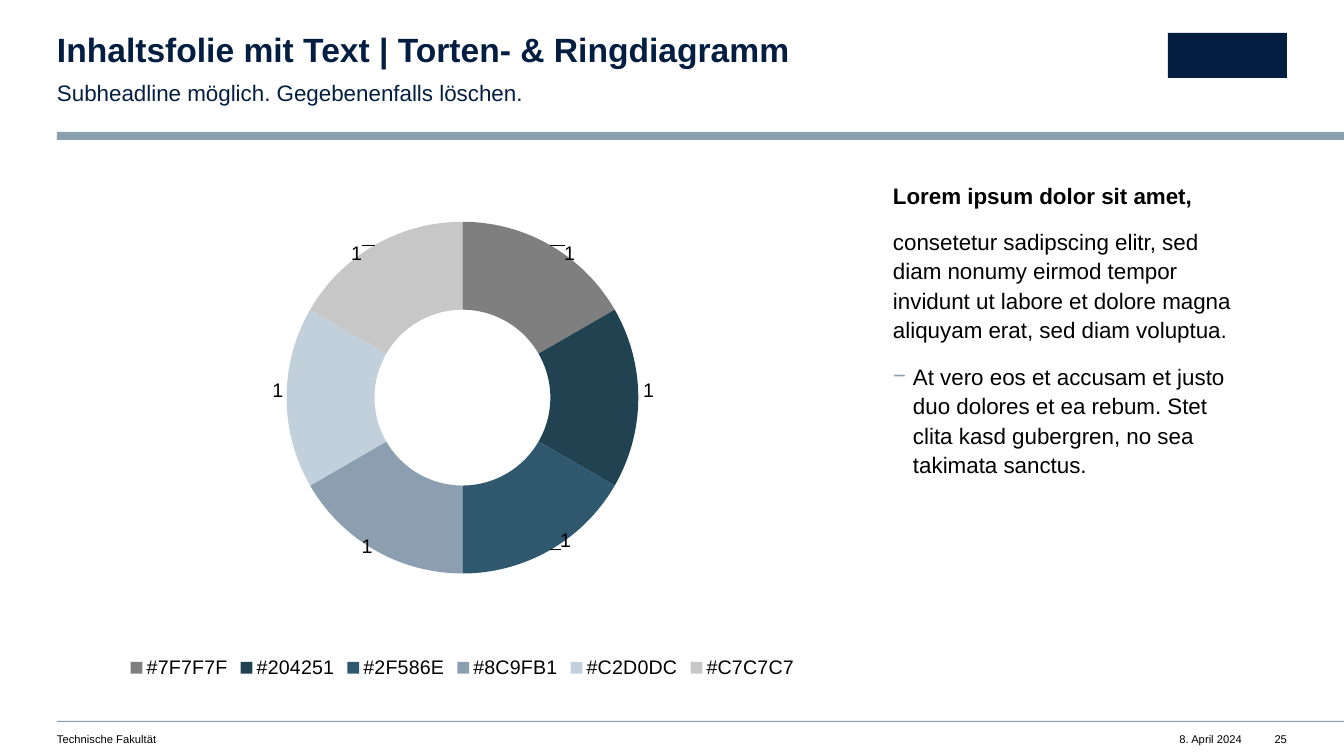
import pptx
import pptx.chart.data
import pptx.dml.color
import pptx.enum.chart
import pptx.enum.shapes
import pptx.enum.text
import pptx.oxml
import pptx.oxml.ns
import pptx.util

PX = 9071  # EMU per pixel at 100.8 pixels to the inch
FONT = "Arial"
NAVY, STEEL, BLACK = "041E42", "8C9FB1", "000000"
LEFT = pptx.enum.text.PP_ALIGN.LEFT
RIGHT = pptx.enum.text.PP_ALIGN.RIGHT


def style_font(font, size, color, bold=False):
    font.name = FONT
    font.size = pptx.util.Pt(size)
    font.bold = bold
    font.color.rgb = pptx.dml.color.RGBColor.from_string(color)


def write_text(shape, box, texts, size, color, bold=False, align=LEFT,
               spacing=1.0, after=0, right_inset=0):
    """Place the shape and write one unbulleted paragraph per text."""
    shape.left, shape.top, shape.width, shape.height = [n * PX for n in box]
    frame = shape.text_frame
    frame.word_wrap = True
    frame.auto_size = pptx.enum.text.MSO_AUTO_SIZE.NONE
    frame.vertical_anchor = pptx.enum.text.MSO_ANCHOR.TOP
    frame.margin_left = frame.margin_top = frame.margin_bottom = 0
    frame.margin_right = right_inset * PX
    frame.text = "\n".join(texts)
    for paragraph in frame.paragraphs:
        paragraph.alignment = align
        paragraph.line_spacing = spacing
        paragraph.space_before = pptx.util.Pt(0)
        paragraph.space_after = pptx.util.Pt(after)
        properties = paragraph._p.get_or_add_pPr()
        properties.set("marL", "0")
        properties.set("indent", "0")
        properties.append(pptx.oxml.parse_xml(
            f'<a:buNone {pptx.oxml.ns.nsdecls("a")}/>'))
        style_font(paragraph.font, size, color, bold)


presentation = pptx.Presentation()
presentation.slide_width = 1344 * PX
presentation.slide_height = 756 * PX
slide = presentation.slides.add_slide(presentation.slide_layouts[3])
title, subheadline, body = slide.placeholders

# Header bar, footer rule and a plain block for the logo
for box, color in [
    ((57, 132, 1287, 8), STEEL),
    ((57, 721, 1287, 1), STEEL),
    ((1168, 33, 119, 45), NAVY),
]:
    bar = slide.shapes.add_shape(
        pptx.enum.shapes.MSO_SHAPE.RECTANGLE, *[n * PX for n in box])
    bar.fill.solid()
    bar.fill.fore_color.rgb = pptx.dml.color.RGBColor.from_string(color)
    bar.line.fill.background()
    bar.shadow.inherit = False

# Headline and text column
write_text(title, (57, 33, 755, 36),
           ["Inhaltsfolie mit Text | Torten- & Ringdiagramm"],
           24, NAVY, bold=True, spacing=0.9)
write_text(subheadline, (57, 76, 755, 27),
           ["Subheadline möglich. Gegebenenfalls löschen."],
           16, NAVY, spacing=1.1, after=12, right_inset=39)
write_text(body, (893, 179, 394, 504), [
    "Lorem ipsum dolor sit amet,",
    "consetetur sadipscing elitr, sed diam nonumy eirmod tempor invidunt ut "
    "labore et dolore magna aliquyam erat, sed diam voluptua.",
    "At vero eos et accusam et justo duo dolores et ea rebum. Stet clita kasd "
    "gubergren, no sea takimata sanctus.",
], 16, BLACK, spacing=1.1, after=12, right_inset=39)
lead, _, bullet = body.text_frame.paragraphs
lead.font.bold = True
bullet.level = 1
bullet_properties = bullet._p.get_or_add_pPr()
bullet_properties.set("marL", str(20 * PX))
bullet_properties.set("indent", str(-20 * PX))
no_bullet = bullet_properties.find(pptx.oxml.ns.qn("a:buNone"))
no_bullet.addprevious(pptx.oxml.parse_xml(
    f'<a:buClr {pptx.oxml.ns.nsdecls("a")}><a:srgbClr val="{STEEL}"/></a:buClr>'))
bullet_properties.replace(no_bullet, pptx.oxml.parse_xml(
    f'<a:buChar {pptx.oxml.ns.nsdecls("a")} char="−"/>'))

# Footer
for text, box, align in [
    ("Technische Fakultät", (57, 732, 603, 13), LEFT),
    ("8. April 2024", (1148, 732, 94, 13), RIGHT),
    ("25", (1266, 732, 21, 13), RIGHT),
]:
    write_text(slide.shapes.add_textbox(0, 0, 0, 0), box, [text], 8, BLACK,
               align=align)

# Ring chart: each colour with its label's offset from the ring segment, in px
CHART_WIDTH, CHART_HEIGHT = 811, 504
segments = [
    ("7F7F7F", 41, -30),
    ("204251", 54, -7),
    ("2F586E", 37, 29),
    ("8C9FB1", -29, 35),
    ("C2D0DC", -53, -7),
    ("C7C7C7", -40, -30),
]
ring_data = pptx.chart.data.CategoryChartData()
ring_data.categories = [f"#{color}" for color, _, _ in segments]
ring_data.add_series("Series 1", [1] * len(segments))
chart = slide.shapes.add_chart(
    pptx.enum.chart.XL_CHART_TYPE.DOUGHNUT, 57 * PX, 179 * PX,
    CHART_WIDTH * PX, CHART_HEIGHT * PX, ring_data).chart
style_font(chart.font, 10, BLACK)
chart.has_title = False
chart.has_legend = True
chart.legend.position = pptx.enum.chart.XL_LEGEND_POSITION.BOTTOM
chart.legend.include_in_layout = False
style_font(chart.legend.font, 14, BLACK)
chart.plots[0].vary_by_categories = True

ring = chart.plots[0].series[0]
ring.data_labels.show_value = True
style_font(ring.data_labels.font, 14, BLACK)
for index, (color, _, _) in enumerate(segments):
    point = ring.points[index]
    point.format.fill.solid()
    point.format.fill.fore_color.rgb = pptx.dml.color.RGBColor.from_string(color)
    point.format.line.fill.background()
    style_font(point.data_label.font, 14, BLACK)

chart_ns = pptx.oxml.ns.nsdecls("c")
for label, (_, dx, dy) in zip(chart.element.xpath(".//c:ser//c:dLbl"), segments):
    label.insert(1, pptx.oxml.parse_xml(
        f'<c:layout {chart_ns}><c:manualLayout>'
        f'<c:x val="{dx / CHART_WIDTH:.3f}"/><c:y val="{dy / CHART_HEIGHT:.3f}"/>'
        '</c:manualLayout></c:layout>'))

plot_area = chart.element.xpath(".//c:plotArea")[0]
for automatic_layout in plot_area.xpath("./c:layout"):
    plot_area.remove(automatic_layout)
plot_area.insert(0, pptx.oxml.parse_xml(
    f'<c:layout {chart_ns}><c:manualLayout><c:layoutTarget val="inner"/>'
    '<c:xMode val="edge"/><c:yMode val="edge"/>'
    '<c:x val="0.208"/><c:y val="0.085"/><c:w val="0.584"/><c:h val="0.698"/>'
    '</c:manualLayout></c:layout>'))
plot_area.xpath(".//c:holeSize")[0].set("val", "80")

presentation.save("out.pptx")
